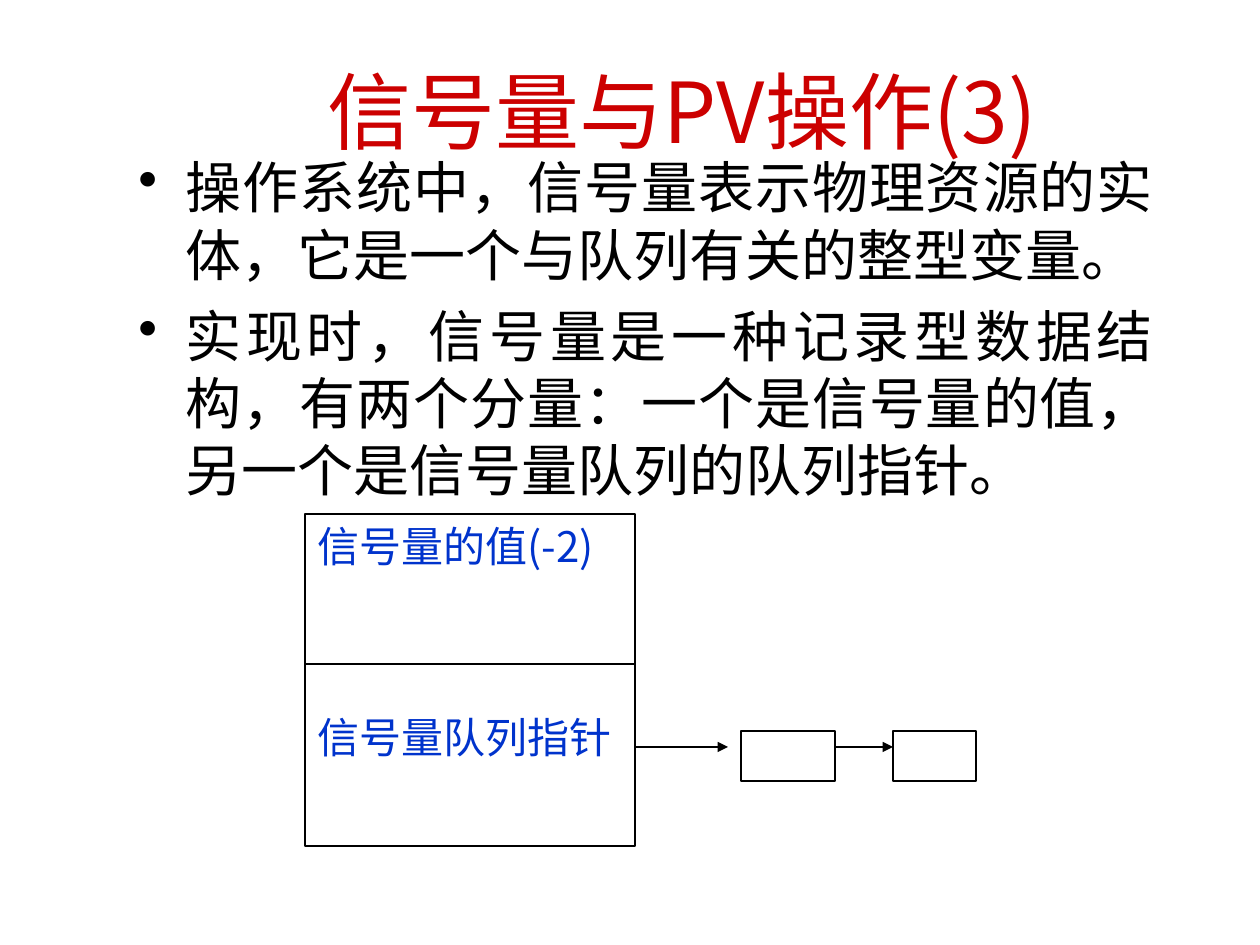
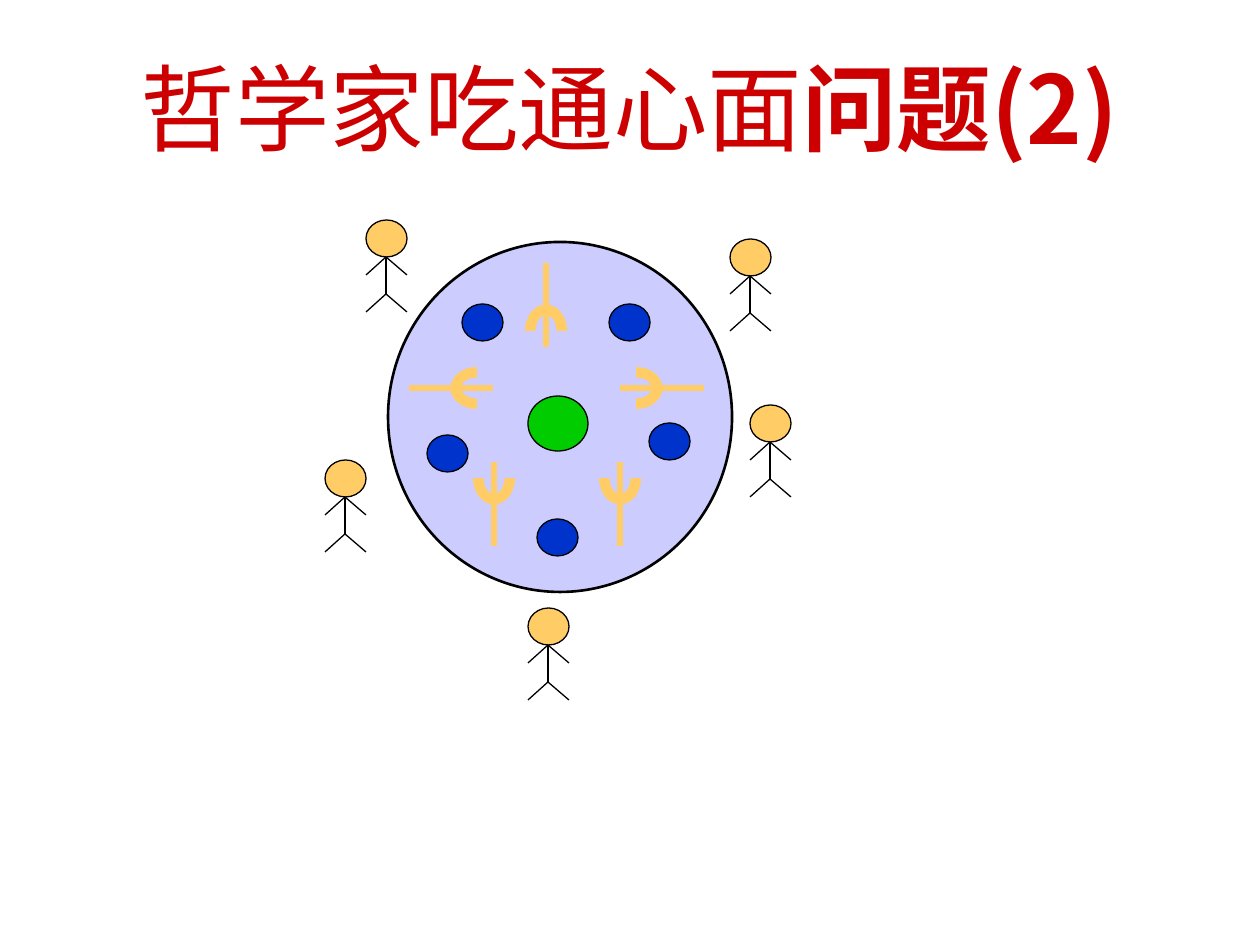
from math import cos, radians, sin

from lxml.etree import SubElement
from pptx import Presentation
from pptx.dml.color import RGBColor
from pptx.enum.shapes import MSO_CONNECTOR, MSO_SHAPE
from pptx.enum.text import MSO_ANCHOR, MSO_AUTO_SIZE, PP_ALIGN
from pptx.oxml.ns import qn
from pptx.util import Pt

PX = 914400 / 126
RED = RGBColor(0xCC, 0x00, 0x00)
BLUE = RGBColor(0x00, 0x33, 0xCC)
BLACK = RGBColor(0x00, 0x00, 0x00)
LILAC = RGBColor(0xCC, 0xCC, 0xFF)
SAND = RGBColor(0xFF, 0xCC, 0x66)
GREEN = RGBColor(0x00, 0xCC, 0x00)
FONT_JP = "Noto Sans CJK JP"
FONT_SC = "Noto Sans CJK SC"

POINTS = [
    "操作系统中，信号量表示物理资源的实体，它是一个与队列有关的整型变量。",
    "实现时，信号量是一种记录型数据结构，有两个分量：一个是信号量的值，另一个是信号量队列的队列指针。",
]
FIELDS = ["信号量的值(-2)", "信号量队列指针"]
RECORD = (305, 514, 330, 332)
DIVIDER_Y = 664
QUEUE_Y = 747
QUEUE_NODES = [(741, 731, 94, 50), (893, 731, 83, 50)]
QUEUE_ARROWS = [(635, 728), (835, 893)]

TABLE = (388, 242, 344, 350)
BOWL = (528, 396, 60, 55)
ROUND = (41, 37)
PLATES = [(462, 304), (609, 304), (649, 423), (537, 519), (427, 435)]
PHILOSOPHERS = [(730, 239), (750, 405), (528, 608), (366, 220), (325, 460)]
LIMBS = [
    ((20, 37), (20, 74)),
    ((20, 74), (0, 92)),
    ((20, 74), (41, 92)),
    ((20, 37), (0, 55)),
    ((20, 37), (41, 55)),
]
FORKS = [(546, 331, 0), (477, 388, 270), (636, 388, 90), (620, 478, 180), (494, 478, 180)]
FORK_W, FORK_H = 42, 53
HANDLE, PRONG = 68, 16


def emu(*values):
    return [round(v * PX) for v in values]


def write(tf, paragraphs, *, size, color, font=FONT_JP, align=PP_ALIGN.CENTER,
          anchor=MSO_ANCHOR.TOP, top=6, line=None, gap=0, bullet=None):
    tf.word_wrap = True
    tf.auto_size = MSO_AUTO_SIZE.NONE
    tf.vertical_anchor = anchor
    tf.margin_top = emu(top)[0]
    for i, runs in enumerate(paragraphs):
        p = tf.add_paragraph() if i else tf.paragraphs[0]
        p.alignment = align
        p.line_spacing = line
        p.space_before = Pt(gap if i else 0)
        pPr = p._p.get_or_add_pPr()
        pPr.set("hangingPunct", "0")
        if bullet:
            indent = emu(47)[0]
            pPr.set("marL", str(indent))
            pPr.set("indent", str(-indent))
            SubElement(pPr, qn("a:buChar")).set("char", bullet)
        for text, bold in runs:
            r = p.add_run()
            r.text = text
            r.font.size = Pt(size)
            r.font.bold = bold
            r.font.name = font
            r.font.color.rgb = color
            SubElement(r._r.get_or_add_rPr(), qn("a:ea")).set("typeface", font)


def plain(texts):
    return [[(text, False)] for text in texts]


def add_titled_slide(prs, box, runs, **style):
    s = prs.slides.add_slide(prs.slide_layouts[5])
    title = s.shapes.title
    title.left, title.top, title.width, title.height = emu(*box)
    write(title.text_frame, [runs], color=RED, **style)
    return s


def add_shape(s, kind, box, fill=None, outline=0.75):
    sp = s.shapes.add_shape(kind, *emu(*box))
    sp.shadow.inherit = False
    if fill is None:
        sp.fill.background()
    else:
        sp.fill.solid()
        sp.fill.fore_color.rgb = fill
    if outline:
        sp.line.color.rgb = BLACK
        sp.line.width = Pt(outline)
    else:
        sp.line.fill.background()
    return sp


def add_line(s, start, end, color=BLACK, width=0.75, arrow=False):
    c = s.shapes.add_connector(MSO_CONNECTOR.STRAIGHT, *emu(*start, *end))
    c.line.color.rgb = color
    c.line.width = Pt(width)
    if arrow:
        SubElement(c.line._get_or_add_ln(), qn("a:tailEnd")).set("type", "triangle")
    SubElement(c._element.spPr, qn("a:effectLst"))


def add_philosopher(s, x, y):
    add_shape(s, MSO_SHAPE.OVAL, (x, y, *ROUND), SAND)
    for (x1, y1), (x2, y2) in LIMBS:
        add_line(s, (x + x1, y + y1), (x + x2, y + y2))


def add_fork(s, x, y, angle):
    dx, dy = sin(radians(angle)), -cos(radians(angle))
    add_line(s, (x + HANDLE * dx, y + HANDLE * dy), (x - PRONG * dx, y - PRONG * dy), SAND, 3)
    arc = add_shape(s, MSO_SHAPE.BLOCK_ARC,
                    (x - FORK_W / 2, y - FORK_H / 2, FORK_W, FORK_H), SAND, outline=0)
    arc.rotation = angle


def build_semaphore(prs):
    s = add_titled_slide(prs, (115, 31, 1134, 158), [("信号量与PV操作(3)", False)],
                         size=48, anchor=MSO_ANCHOR.MIDDLE)
    body = s.shapes.add_textbox(*emu(126, 147, 1040, 766))
    write(body.text_frame, plain(POINTS), size=32, color=BLACK, font=FONT_SC,
          align=PP_ALIGN.JUSTIFY, line=Pt(38.4), gap=8, bullet="•")
    record = add_shape(s, MSO_SHAPE.RECTANGLE, RECORD)
    write(record.text_frame, plain(FIELDS), size=24, color=BLUE,
          align=PP_ALIGN.JUSTIFY, line=Pt(29), gap=80)
    left, _, width, _ = RECORD
    add_line(s, (left, DIVIDER_Y), (left + width, DIVIDER_Y))
    for box in QUEUE_NODES:
        add_shape(s, MSO_SHAPE.RECTANGLE, box)
    for x1, x2 in QUEUE_ARROWS:
        add_line(s, (x1, QUEUE_Y), (x2, QUEUE_Y), arrow=True)


def build_philosophers(prs):
    s = add_titled_slide(prs, (94, 73, 1071, 158),
                         [("哲学家吃通心面", False), ("问题(2)", True)],
                         size=54, top=17, line=0.6)
    add_shape(s, MSO_SHAPE.OVAL, TABLE, LILAC, 1.5)
    for plate in PLATES:
        add_shape(s, MSO_SHAPE.OVAL, (*plate, *ROUND), BLUE)
    for philosopher in PHILOSOPHERS:
        add_philosopher(s, *philosopher)
    add_shape(s, MSO_SHAPE.OVAL, BOWL, GREEN)
    for fork in FORKS:
        add_fork(s, *fork)


def main():
    prs = Presentation()
    prs.slide_width, prs.slide_height = emu(1260, 945)
    build_semaphore(prs)
    build_philosophers(prs)
    prs.save("out.pptx")


if __name__ == "__main__":
    main()
